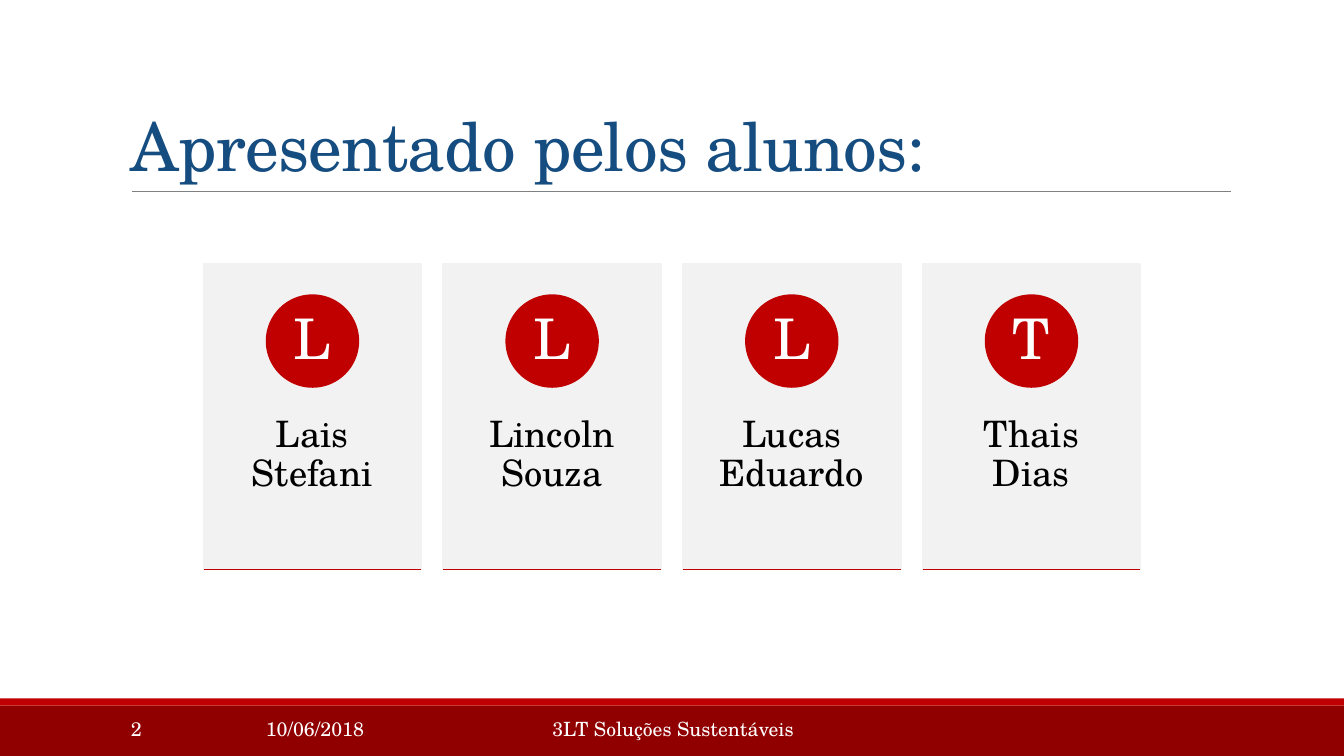
from pptx import Presentation
from pptx.dml.color import RGBColor
from pptx.enum.shapes import MSO_CONNECTOR, MSO_SHAPE
from pptx.enum.text import MSO_ANCHOR, PP_ALIGN
from pptx.oxml.ns import qn
from pptx.util import Cm, Pt
from lxml import etree

RECTANGLE, OVAL = MSO_SHAPE.RECTANGLE, MSO_SHAPE.OVAL
STRAIGHT = MSO_CONNECTOR.STRAIGHT
TOP, MIDDLE, BOTTOM = MSO_ANCHOR.TOP, MSO_ANCHOR.MIDDLE, MSO_ANCHOR.BOTTOM
LEFT, CENTER = PP_ALIGN.LEFT, PP_ALIGN.CENTER

FONT = "TeX Gyre Schola"
RED, DARK_RED, PALE_GRAY, WHITE = "C00000", "900000", "F2F2F2", "FFFFFF"

presentation = Presentation()
presentation.slide_width, presentation.slide_height = Cm(33.87), Cm(19.05)
slide = presentation.slides.add_slide(presentation.slide_layouts[6])


def color(hex_string):
    return RGBColor.from_string(hex_string)


def add_text(text, left, top, width, height, size, text_color, align=LEFT,
             anchor=TOP, insets=(0.25, 0.13), line_spacing=1.0):
    box = slide.shapes.add_textbox(Cm(left), Cm(top), Cm(width), Cm(height))
    frame = box.text_frame
    frame.word_wrap = True
    frame.vertical_anchor = anchor
    frame.margin_left = frame.margin_right = Cm(insets[0])
    frame.margin_top = frame.margin_bottom = Cm(insets[1])
    frame.text = text
    paragraph = frame.paragraphs[0]
    paragraph.alignment = align
    paragraph.line_spacing = line_spacing
    paragraph.font.name = FONT
    paragraph.font.size = Pt(size)
    paragraph.font.color.rgb = color(text_color)
    return paragraph


# Footer bands
for top, height, fill in [(17.78, 1.27, DARK_RED), (17.6, 0.18, RED)]:
    band = slide.shapes.add_shape(RECTANGLE, 0, Cm(top), Cm(33.87), Cm(height))
    band.shadow.inherit = False
    band.fill.solid()
    band.fill.fore_color.rgb = color(fill)
    band.line.fill.background()

# Footer texts
for text, left, width, align in [
    ("10/06/2018", 6.45, 5.92, LEFT),
    ("2", 3.05, 5.92, LEFT),
    ("3LT Soluções Sustentáveis", 11.82, 10.29, CENTER),
]:
    add_text(text, left, 17.93, width, 1.02, 14, WHITE, align)

# Title
title = add_text("Apresentado pelos alunos:", 3.05, 0.76, 27.94, 4.04, 48,
                 "154D80", anchor=BOTTOM, line_spacing=0.85)
title.runs[0].font._element.set("spc", "-50")

# Student cards
CARD_LEFT, CARD_TOP, CARD_WIDTH, CARD_HEIGHT = 5.13, 6.65, 5.49, 7.7
CARD_STEP = 6.04
CIRCLE_SIZE, INITIAL_SIZE = 2.31, 1.63
students = ["Lais Stefani", "Lincoln Souza", "Lucas Eduardo", "Thais\vDias"]
rules = [(3.33, 4.83, 31.01, "808080", 0.5)]

for index, name in enumerate(students):
    left = CARD_LEFT + index * CARD_STEP
    center = left + CARD_WIDTH / 2
    circle_left = center - CIRCLE_SIZE / 2
    for kind, x, y, width, height, fill in [
        (RECTANGLE, left, CARD_TOP, CARD_WIDTH, CARD_HEIGHT, PALE_GRAY),
        (OVAL, circle_left, 7.44, CIRCLE_SIZE, CIRCLE_SIZE, RED),
    ]:
        shape = slide.shapes.add_shape(kind, Cm(x), Cm(y), Cm(width), Cm(height))
        shape.shadow.inherit = False
        shape.fill.solid()
        shape.fill.fore_color.rgb = color(fill)
        shape.line.color.rgb = color(fill)
        shape.line.width = Pt(1.25)
    add_text(name, left, 9.58, CARD_WIDTH, 4.62, 26, "000000", CENTER,
             insets=(0.43, 0.91), line_spacing=0.9)
    add_text(name[0], center - INITIAL_SIZE / 2, 7.78, INITIAL_SIZE,
             INITIAL_SIZE, 40, WHITE, CENTER, MIDDLE, (0.18, 0.03), 0.9)
    rules.append((left, CARD_TOP + CARD_HEIGHT, left + CARD_WIDTH, RED, 1.25))

# Title rule and card base lines
for start, y, end, line_color, weight in rules:
    rule = slide.shapes.add_connector(STRAIGHT, Cm(start), Cm(y), Cm(end), Cm(y))
    rule.line.color.rgb = color(line_color)
    rule.line.width = Pt(weight)
    etree.SubElement(rule._element.spPr, qn("a:effectLst"))

presentation.save("out.pptx")
